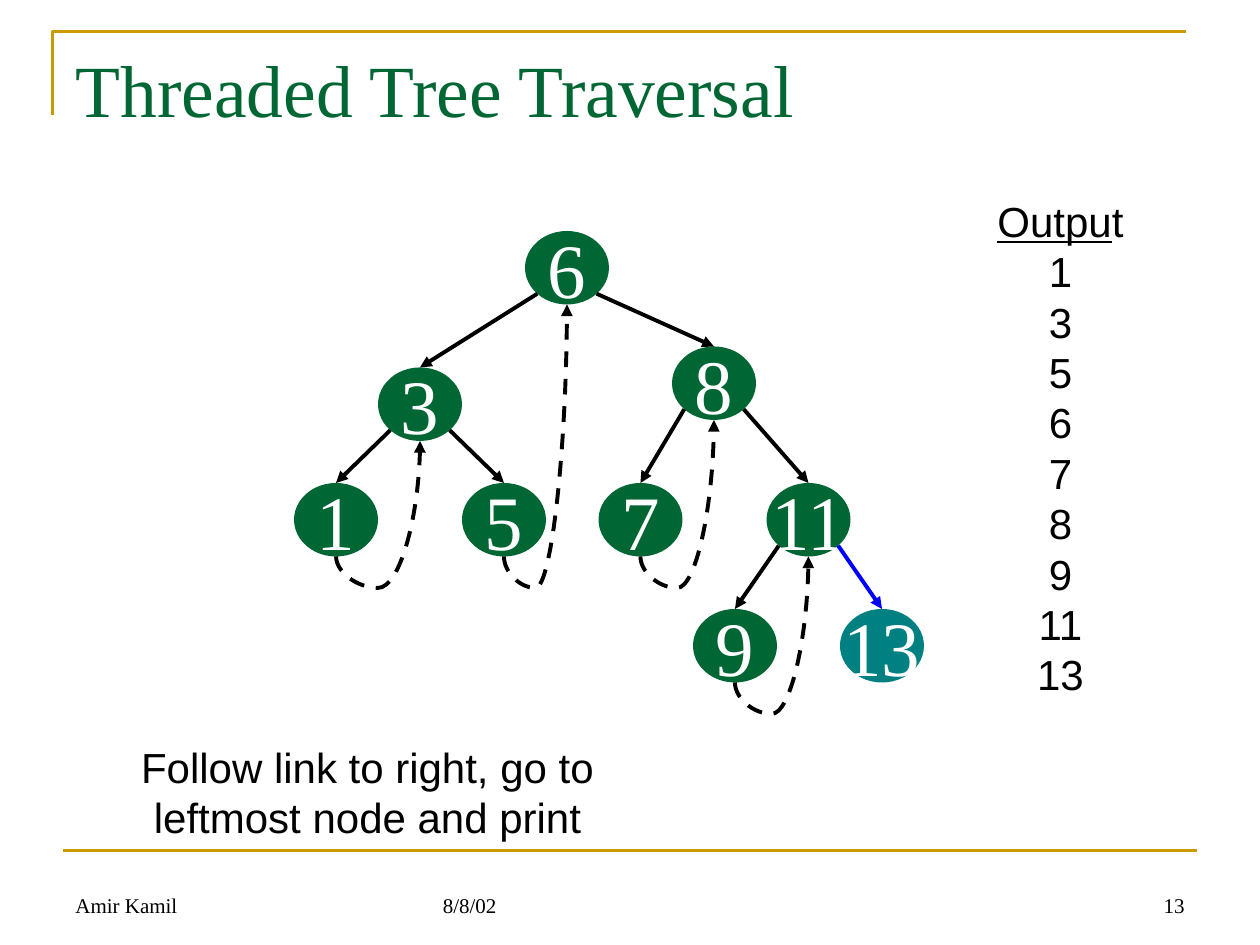
import dataclasses
import math
import typing

import lxml.etree
import pptx
import pptx.dml.color
import pptx.enum.dml
import pptx.enum.shapes
import pptx.enum.text
import pptx.oxml.ns
import pptx.util

COLORS = {
    "green": "006633", "teal": "008080", "gold": "CC9900",
    "blue": "0000FF", "black": "000000", "white": "FFFFFF",
}
SERIF, SANS = "Times New Roman", "Arial"
COLS, ROWS = 120, 90
WIDE, HIGH = 8, 7
DROP = 3
ALIGN = pptx.enum.text.PP_ALIGN
ANCHOR = pptx.enum.text.MSO_ANCHOR
LINK = pptx.enum.shapes.MSO_CONNECTOR


@dataclasses.dataclass(frozen=True)
class Node:
    key: int
    col: float
    row: float
    fill: str = "green"

    @property
    def mid(self) -> float:
        return self.col + WIDE / 2

    @property
    def base(self) -> float:
        return self.row + HIGH

    def corner(self, side: int) -> tuple[float, float]:
        reach = math.sqrt(0.5) / 2
        return (self.mid + side * WIDE * reach,
                self.row + HIGH / 2 + HIGH * reach)


@dataclasses.dataclass(frozen=True)
class Edge:
    parent: int
    child: int
    color: str = "black"


NODES = {node.key: node for node in (
    Node(6, 50, 22), Node(3, 36, 35), Node(8, 64, 33),
    Node(1, 28, 46), Node(5, 44, 46), Node(7, 57, 46), Node(11, 73, 46),
    Node(9, 66, 58), Node(13, 80, 58, "teal"),
)}
EDGES = (
    Edge(6, 3), Edge(6, 8), Edge(3, 1), Edge(3, 5),
    Edge(8, 7), Edge(8, 11), Edge(11, 9), Edge(11, 13, "blue"),
)
THREADS = ((1, 3), (5, 6), (7, 8), (9, 11))


def grid(*cells: float) -> list[pptx.util.Emu]:
    return [pptx.util.Inches(cell / 12) for cell in cells]


def tint(name: str) -> pptx.dml.color.RGBColor:
    return pptx.dml.color.RGBColor.from_string(COLORS[name])


def write(frame: typing.Any, *lines: str, size: float = 24, font: str = SANS,
          color: str = "black", align: typing.Any = ALIGN.LEFT,
          anchor: typing.Any = ANCHOR.TOP, wrap: bool = True,
          under: str = "") -> None:
    frame.word_wrap = wrap
    frame.auto_size = pptx.enum.text.MSO_AUTO_SIZE.NONE
    frame.vertical_anchor = anchor
    for count, line in enumerate(lines):
        para = frame.add_paragraph() if count else frame.paragraphs[0]
        para.alignment = align
        para.space_before = pptx.util.Pt(0)
        lead = under if under and line.startswith(under) else ""
        for part in filter(None, (lead, line[len(lead):])):
            run = para.add_run()
            run.text = part
            run.font.size = pptx.util.Pt(size)
            run.font.name = font
            run.font.color.rgb = tint(color)
            run.font.underline = part == lead


def place(shape: typing.Any, *cells: float) -> None:
    shape.left, shape.top, shape.width, shape.height = grid(*cells)


def add(parent: typing.Any, tag: str, **attrs: str) -> typing.Any:
    return lxml.etree.SubElement(parent, pptx.oxml.ns.qn(tag), attrs)


def style(line: typing.Any, color: str, width: float) -> None:
    line.color.rgb = tint(color)
    line.width = pptx.util.Pt(width)


def join(shapes: typing.Any, *ends: float, color: str = "black",
         width: float = 2.25, arrow: bool = True,
         kind: typing.Any = LINK.STRAIGHT) -> typing.Any:
    link = shapes.add_connector(kind, *grid(*ends))
    style(link.line, color, width)
    if kind == LINK.CURVE:
        link.line.dash_style = pptx.enum.dml.MSO_LINE.DASH
    props = link._element.spPr
    if arrow:
        add(props.find(pptx.oxml.ns.qn("a:ln")), "a:tailEnd", type="triangle")
    add(props, "a:effectLst")
    return link


def draw_node(shapes: typing.Any, node: Node) -> None:
    oval = shapes.add_shape(pptx.enum.shapes.MSO_SHAPE.OVAL,
                            *grid(node.col, node.row, WIDE, HIGH))
    oval.shadow.inherit = False
    oval.fill.solid()
    oval.fill.fore_color.rgb = tint(node.fill)
    oval.line.fill.background()
    write(oval.text_frame, str(node.key), size=44, font=SERIF, color="white",
          align=ALIGN.CENTER, anchor=ANCHOR.MIDDLE, wrap=False)


def draw_edge(shapes: typing.Any, edge: Edge) -> None:
    top, low = NODES[edge.parent], NODES[edge.child]
    side = 1 if low.mid > top.mid else -1
    join(shapes, *top.corner(side), low.mid, low.row, color=edge.color)


def draw_thread(shapes: typing.Any, start: Node, end: Node) -> None:
    rise, run = start.base - end.base, end.mid - start.mid
    x, y = (start.mid + end.mid) / 2, (start.base + end.base) / 2
    link = join(shapes, x + rise / 2, y + run / 2, x - rise / 2, y - run / 2,
                kind=LINK.CURVE)
    props = link._element.spPr
    props.find(pptx.oxml.ns.qn("a:xfrm")).set("rot", "5400000")
    shape = props.find(pptx.oxml.ns.qn("a:prstGeom"))
    guides = shape.find(pptx.oxml.ns.qn("a:avLst"))
    if guides is None:
        guides = add(shape, "a:avLst")
    bend = round(-DROP / rise * 100000)
    add(guides, "a:gd", name="adj1", fmla=f"val {bend}")


def draw_frame(shapes: typing.Any) -> None:
    pen = shapes.build_freeform(5, 11, scale=pptx.util.Inches(1 / 12))
    pen.add_line_segments([(5, 3), (113, 3)], close=False)
    rule = pen.convert_to_shape()
    rule.shadow.inherit = False
    rule.fill.background()
    style(rule.line, "gold", 1.5)
    join(shapes, 6, 81, 114, 81, color="gold", width=1.5, arrow=False)


def draw_text(shapes: typing.Any, text: str, *cells: float,
              **format: typing.Any) -> None:
    write(shapes.add_textbox(*grid(*cells)).text_frame, text, **format)


def main() -> None:
    deck = pptx.Presentation()
    deck.slide_width, deck.slide_height = grid(COLS, ROWS)
    slide = deck.slides.add_slide(deck.slide_layouts[1])
    shapes = slide.shapes
    draw_frame(shapes)

    place(shapes.title, 6, 3.6, 108, 15)
    write(shapes.title.text_frame, "Threaded Tree Traversal",
          size=42, font=SERIF, color="green")

    for node in NODES.values():
        draw_node(shapes, node)
    for edge in EDGES:
        draw_edge(shapes, edge)
    for start, end in THREADS:
        draw_thread(shapes, NODES[start], NODES[end])

    body = slide.placeholders[1]
    place(body, 93, 18, 16, 49)
    write(body.text_frame, "Output", *map(str, sorted(NODES)),
          align=ALIGN.CENTER, under="Outpu")
    for para in body.text_frame.paragraphs:
        props = para._p.get_or_add_pPr()
        props.set("marL", "0")
        props.set("indent", "0")
        add(props, "a:buNone")

    draw_text(shapes, "Follow link to right, go to leftmost node and print",
              7, 70, 56, 10.8, align=ALIGN.CENTER)
    for text, col, width, align in (("Amir Kamil", 6, 28, ALIGN.LEFT),
                                    ("8/8/02", 41, 38, ALIGN.LEFT),
                                    ("13", 86, 28, ALIGN.RIGHT)):
        draw_text(shapes, text, col, 82, width, 6, size=12, font=SERIF,
                  align=align, anchor=ANCHOR.BOTTOM)
    deck.save("out.pptx")


if __name__ == "__main__":
    main()
